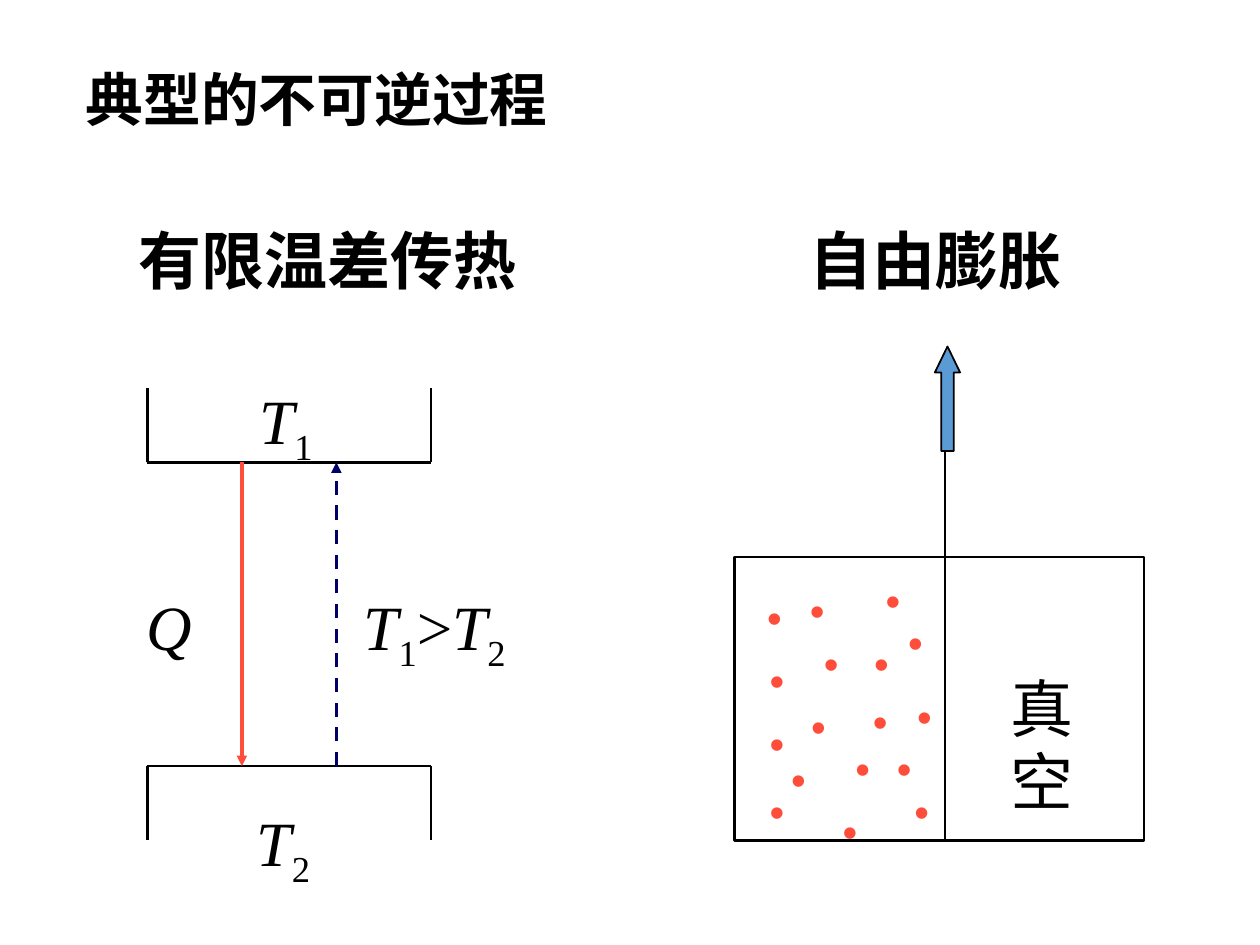
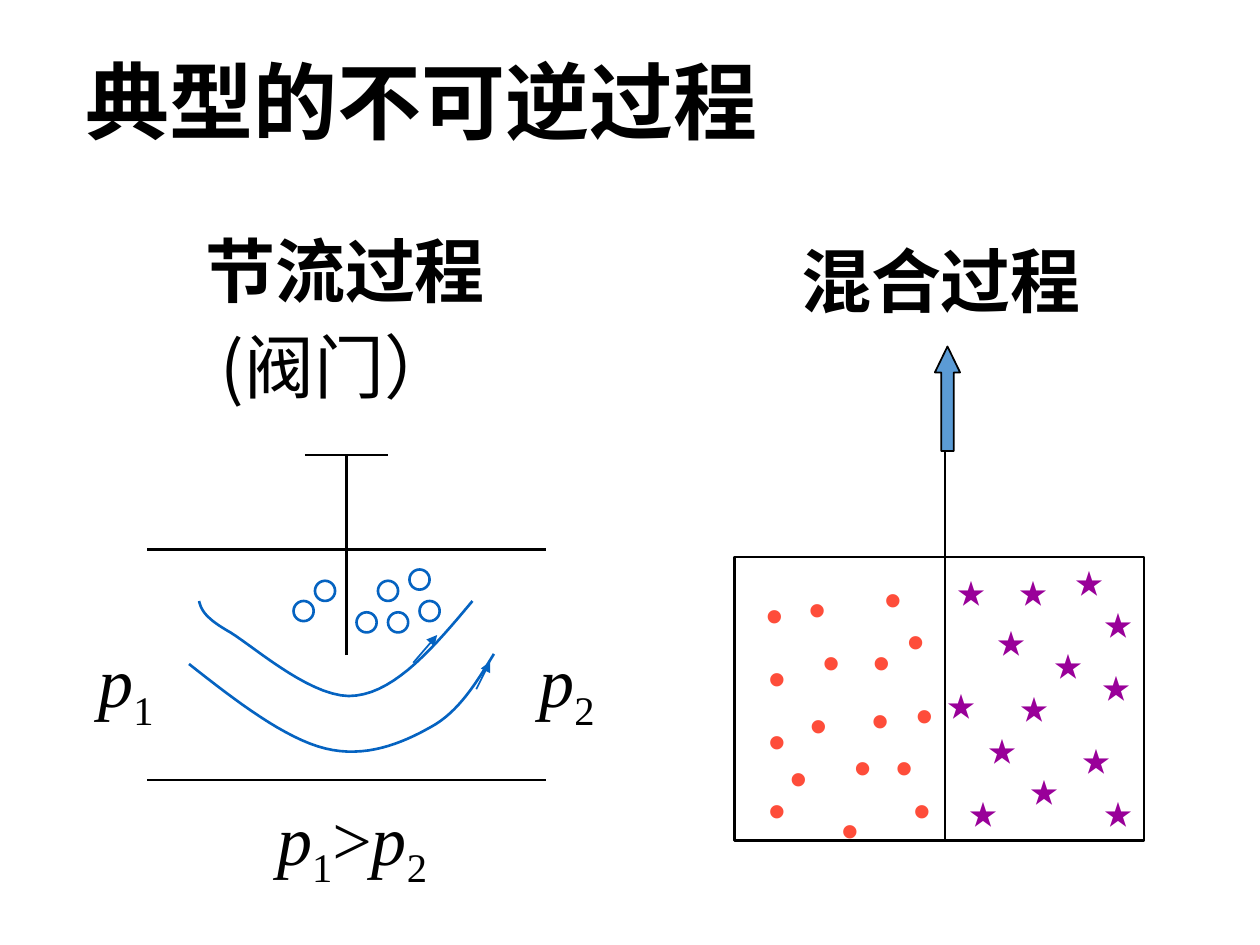
from lxml.etree import SubElement
from pptx import Presentation
from pptx.dml.color import RGBColor
from pptx.enum.dml import MSO_LINE
from pptx.enum.shapes import MSO_CONNECTOR, MSO_SHAPE
from pptx.enum.text import MSO_ANCHOR, PP_ALIGN
from pptx.oxml.ns import qn
from pptx.util import Cm, Pt

COLORS = {"ink": "000000", "gas": "FE4D3A", "back": "000066",
          "arrow": "5B9BD5", "star": "990099", "flow": "0563C1"}
CJK, SERIF, SANS = "Noto Sans CJK SC", "Times New Roman", "Arial"

TITLE = "典型的不可逆过程"
TITLE_BOX = (0.58, 0.33, 9.17, 0.9)

HEAT_HEADING = ("有限温差传热", (1, 1.67, 3.37, 0.71))
EXPANSION_HEADING = ("自由膨胀", (6.33, 1.67, 2.42, 0.7))
THROTTLE_HEADING = ("节流过程", (1.53, 1.7, 2.78, 1.57))
VALVE_NOTE = " (阀门）"
MIXING_HEADING = ("混合过程", (6.26, 1.78, 3.08, 0.77))
VACUUM = ("真空", (7.92, 5.22, 0.7, 1.27))

HEAT_LABELS = [("T1", (1.95, 2.92, 0.64, 0.71)), ("T2", (1.93, 6.27, 0.64, 0.71)),
               ("T1>T2", (2.77, 4.56, 1.36, 0.71)), ("Q", (1.06, 4.56, 0.56, 0.71))]
PRESSURE_LABELS = [("p1", (0.67, 4.94, 0.66, 0.77)), ("p2", (4.17, 4.94, 0.66, 0.77)),
                   ("p1>p2", (2.08, 6.19, 1.43, 0.77))]

RESERVOIR_X = (1.17, 3.42)
HOT_Y, COLD_Y, WALL_H = 3.67, 6.08, 0.59
HEAT_X, RETURN_X = 1.92, 2.67

VESSEL = (5.83, 4.42, 3.25, 2.25)
PARTITION = (7.5, 3.58, 7.5, 6.67)
LIFT_ARROW = (7.42, 2.75, 0.2, 0.83)

GAS_DOTS = [(5.99, 4.6), (6.44, 4.97), (6.33, 4.55), (6.01, 5.1), (6.34, 5.47),
            (6.83, 5.43), (6.01, 5.6), (7.16, 6.14), (7.02, 5.8), (7.18, 5.39),
            (6.93, 4.47), (6.59, 6.3), (6.18, 5.89), (6.84, 4.97), (6.01, 6.14),
            (6.69, 5.8), (7.11, 4.8)]
STARS = [(7.82, 4.9), (7.99, 4.5), (8, 5.42), (7.42, 5.4), (8.49, 5.83),
         (8.65, 5.25), (7.75, 5.75), (8.67, 6.25), (8.08, 6.08), (7.6, 6.25),
         (8.67, 4.75), (8.27, 5.08), (8.44, 4.42), (7.5, 4.5)]

PIPE_AND_VALVE = [(1.17, 4.36, 4.33, 4.36), (1.17, 6.19, 4.33, 6.19),
                  (2.75, 5.2, 2.75, 3.61), (2.42, 3.61, 3.08, 3.61)]
BUBBLES = [(3.25, 4.52), (3.33, 4.77), (3.08, 4.86), (2.83, 4.86),
           (3, 4.61), (2.5, 4.61), (2.33, 4.77)]
STREAMLINES = [
    [(1.58, 4.77), (1.6, 4.84), (1.62, 4.9), (1.83, 5.02), (2.04, 5.15),
     (2.51, 5.57), (2.83, 5.52), (3.15, 5.48), (3.45, 5.13), (3.75, 4.77)],
    [(1.5, 5.27), (1.88, 5.57), (2.26, 5.86), (2.58, 5.94), (2.9, 6.02),
     (3.19, 5.9), (3.42, 5.77), (3.64, 5.65), (3.78, 5.42), (3.92, 5.19)]]
FLOW_ARROWS = [(3.28, 5.26, 3.47, 5.04), (3.78, 5.47, 3.89, 5.25)]


def cm(inches):
    return Cm(inches * 2.54)


def place(box):
    return [cm(v) for v in box]


def color(name):
    return RGBColor.from_string(COLORS[name])


def write(p, text, size=36, font=CJK, ink="ink", bold=False, italic=False, sub=False):
    r = p.add_run()
    r.text = text
    f = r.font
    f.size, f.bold, f.italic, f.name = Pt(size), bold, italic, font
    f.color.rgb = color(ink)
    rPr = r._r.get_or_add_rPr()
    SubElement(rPr, qn("a:ea")).set("typeface", font)
    if sub:
        rPr.set("baseline", "-25000")
    if font == CJK:
        p.line_spacing = Pt(round(size * 1.17))


def text_box(s, box, size, wrap=True, align=PP_ALIGN.LEFT):
    tf = s.shapes.add_textbox(*place(box)).text_frame
    tf.word_wrap = wrap
    tf.margin_top = Cm(0.13) + Pt(round(size * 0.12))
    p = tf.paragraphs[0]
    p.alignment = align
    return tf, p


def heading(s, item, size):
    text, box = item
    tf, p = text_box(s, box, size)
    write(p, text, size, bold=True)
    return tf


def symbol_label(s, text, box, size):
    tf, p = text_box(s, box, size, False, PP_ALIGN.CENTER)
    for ch in text:
        write(p, ch, size, SERIF, italic=ch.isalpha(), sub=ch.isdigit())


def marks(s, text, points, box_size, size, font, ink, shift=(0, 0)):
    for x, y in points:
        box = (x + shift[0], y + shift[1], *box_size)
        tf, p = text_box(s, box, size, False, PP_ALIGN.CENTER)
        write(p, text, size, font, ink)


def line(s, ends, ink="ink", width=1.5, dash=False, arrow=False):
    c = s.shapes.add_connector(MSO_CONNECTOR.STRAIGHT, *place(ends))
    c.line.color.rgb, c.line.width = color(ink), Pt(width)
    if dash:
        c.line.dash_style = MSO_LINE.DASH
    if arrow:
        SubElement(c.line._get_or_add_ln(), qn("a:tailEnd")).set("type", "triangle")
    SubElement(c._element.spPr, qn("a:effectLst"))


def outline(sp, ink="ink", width=1.5, fill=None):
    sp.shadow.inherit = False
    sp.line.color.rgb, sp.line.width = color(ink), Pt(width)
    if fill:
        sp.fill.solid()
        sp.fill.fore_color.rgb = color(fill)
    else:
        sp.fill.background()


def shape(s, kind, box, **style):
    sp = s.shapes.add_shape(kind, *place(box))
    outline(sp, **style)
    return sp


def curve(s, pts, ink, steps=16):
    path_pts = []
    for i in range(0, len(pts) - 1, 3):
        for k in range(1, steps + 1):
            t = k / steps
            weights = ((1 - t) ** 3, 3 * t * (1 - t) ** 2, 3 * t * t * (1 - t), t ** 3)
            path_pts.append(tuple(
                cm(sum(w * q[axis] for w, q in zip(weights, pts[i:i + 4])))
                for axis in (0, 1)))
    builder = s.shapes.build_freeform(*place(pts[0]))
    builder.add_line_segments(path_pts, close=False)
    outline(builder.convert_to_shape(), ink)


def new_slide(prs, title_size):
    s = prs.slides.add_slide(prs.slide_layouts[5])
    sp = s.shapes.title
    sp.left, sp.top, sp.width, sp.height = place(TITLE_BOX)
    tf = sp.text_frame
    tf.vertical_anchor = MSO_ANCHOR.MIDDLE
    p = tf.paragraphs[0]
    p.alignment = PP_ALIGN.LEFT
    write(p, TITLE, title_size, bold=True)
    p.line_spacing = Pt(round(title_size * 1.22))
    return s


def vessel(s):
    shape(s, MSO_SHAPE.RECTANGLE, VESSEL)
    line(s, PARTITION)
    sp = shape(s, MSO_SHAPE.UP_ARROW, LIFT_ARROW, width=1, fill="arrow")
    sp.adjustments[0], sp.adjustments[1] = 0.5, 1.03


def heat_and_expansion(prs):
    s = new_slide(prs, 33)
    heading(s, HEAT_HEADING, 36)
    for y, wall_end in ((HOT_Y, HOT_Y - WALL_H), (COLD_Y, COLD_Y + WALL_H)):
        line(s, (RESERVOIR_X[0], y, RESERVOIR_X[1], y))
        for x in RESERVOIR_X:
            line(s, (x, y, x, wall_end))
    line(s, (HEAT_X, HOT_Y, HEAT_X, COLD_Y), "gas", 2, arrow=True)
    line(s, (RETURN_X, COLD_Y, RETURN_X, HOT_Y), "back", 2, dash=True, arrow=True)
    for text, box in HEAT_LABELS:
        symbol_label(s, text, box, 36)
    heading(s, EXPANSION_HEADING, 36)
    vessel(s)
    text, box = VACUUM
    tf, p = text_box(s, box, 36, align=PP_ALIGN.CENTER)
    tf.margin_left = tf.margin_right = 0
    write(p, text)
    marks(s, "•", GAS_DOTS, (0.3, 0.43), 24, SANS, "gas")


def throttling_and_mixing(prs):
    s = new_slide(prs, 48)
    p = heading(s, THROTTLE_HEADING, 40).add_paragraph()
    p.space_before = Pt(8)
    write(p, VALVE_NOTE, 40)
    for text, box in PRESSURE_LABELS:
        symbol_label(s, text, box, 40)
    heading(s, MIXING_HEADING, 40)
    vessel(s)
    marks(s, "•", GAS_DOTS, (0.32, 0.5), 28, SANS, "gas", shift=(-0.01, -0.05))
    marks(s, "★", STARS, (0.4, 0.33), 16, CJK, "star")
    for ends in PIPE_AND_VALVE:
        line(s, ends)
    for pts in STREAMLINES:
        curve(s, pts, "flow")
    for x, y in BUBBLES:
        shape(s, MSO_SHAPE.OVAL, (x, y, 0.16, 0.16), ink="flow")
    for ends in FLOW_ARROWS:
        line(s, ends, "flow", 1, arrow=True)


def main():
    prs = Presentation()
    prs.slide_width, prs.slide_height = Cm(25.4), Cm(19.05)
    heat_and_expansion(prs)
    throttling_and_mixing(prs)
    prs.save("out.pptx")


if __name__ == "__main__":
    main()
